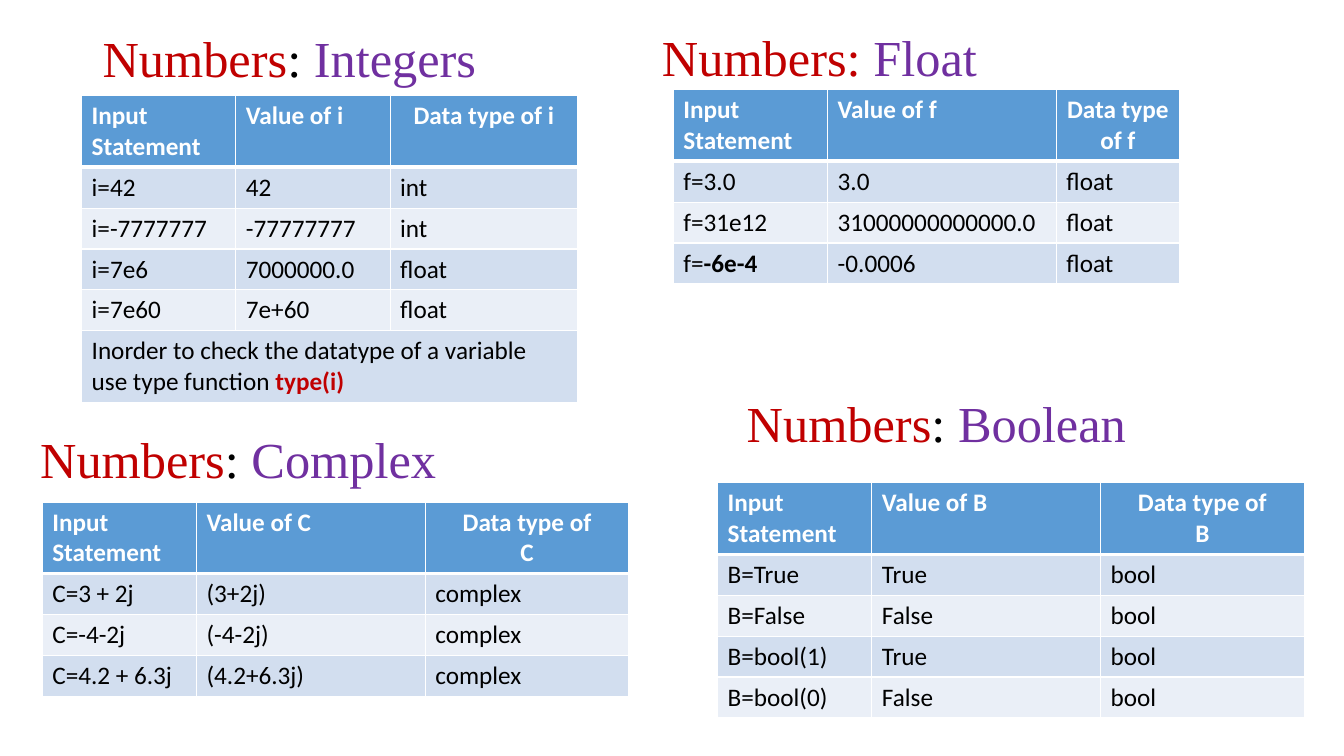
from lxml.etree import SubElement
from pptx import Presentation
from pptx.dml.color import RGBColor
from pptx.enum.text import MSO_ANCHOR, PP_ALIGN
from pptx.oxml.ns import qn
from pptx.util import Pt

COLORS = {"red": "C00000", "purple": "7030A0", "black": "000000", "white": "FFFFFF",
          "header": "5B9BD5", "odd": "D2DEEF", "even": "EAEFF7"}

# A text is a list of runs: (text, colour, bold).
COLON = (": ", "black", False)
NUMBERS = ("Numbers", "red", False)
TYPE_NOTE = [("Inorder to check the datatype of a variable use type function ", "black", False),
             ("type(i)", "red", True)]
SMALL_FLOAT = [("f=", "black", False), ("-6e-4", "black", True)]

# Boxes are left, top, width, height; tables are placed by left, top.
SECTIONS = [
    {"title": [NUMBERS, COLON, ("Integers", "purple", False)],
     "title_box": (66.2, 28.8, 347.8, 29.5),
     "table_at": (58.3, 68.4), "columns": (110.2, 110.2, 133.9),
     "rows": [("Input Statement", "Value of i", "Data type of i"),
              ("i=42", "42", "int"),
              ("i=-7777777", "-77777777", "int"),
              ("i=7e6", "7000000.0", "float"),
              ("i=7e60", "7e+60", "float"),
              (TYPE_NOTE,)]},
    {"title": [("Numbers: ", "red", False), ("Float", "purple", False)],
     "title_box": (465.8, 22.3, 256.3, 41),
     "table_at": (481, 64.1), "columns": (110.2, 163.4, 87.8),
     "rows": [("Input Statement", "Value of f", "Data type of f"),
              ("f=3.0", "3.0", "float"),
              ("f=31e12", "31000000000000.0", "float"),
              (SMALL_FLOAT, "-0.0006", "float")]},
    {"title": [NUMBERS, COLON, ("Complex", "purple", False)],
     "title_box": (21.6, 315.4, 347.8, 29.5),
     "table_at": (30.2, 358.6), "columns": (110.2, 163.4, 145.4),
     "rows": [("Input Statement", "Value of C", "Data type of\nC"),
              ("C=3 + 2j", "(3+2j)", "complex"),
              ("C=-4-2j", "(-4-2j)", "complex"),
              ("C=4.2 + 6.3j", "(4.2+6.3j)", "complex")]},
    {"title": [NUMBERS, COLON, ("Boolean", "purple", False)],
     "title_box": (526.3, 289.4, 347.8, 29.5),
     "table_at": (512.6, 344.9), "columns": (110.2, 163.4, 145.4),
     "rows": [("Input Statement", "Value of B", "Data type of\nB"),
              ("B=True", "True", "bool"),
              ("B=False", "False", "bool"),
              ("B=bool(1)", "True", "bool"),
              ("B=bool(0)", "False", "bool")]},
]
ONE_LINE, TWO_LINES = 29.2, 51.1


def write(tf, text, size=18, font="Calibri", color="black", bold=False,
          align=PP_ALIGN.LEFT, spacing=None):
    """Fill a frame with a plain string, one paragraph a line, or a list of runs."""
    if isinstance(text, str):
        paragraphs = [[(line, color, bold)] for line in text.split("\n")]
    else:
        paragraphs = [text]
    for i, runs in enumerate(paragraphs):
        p = tf.add_paragraph() if i else tf.paragraphs[0]
        p.alignment = align
        if spacing:
            p.line_spacing = spacing
        for run_text, run_color, run_bold in runs:
            r = p.add_run()
            r.text = run_text
            r.font.size = Pt(size)
            r.font.name = font
            r.font.bold = run_bold
            r.font.color.rgb = RGBColor.from_string(COLORS[run_color])


def set_borders(cell, bottom):
    tc_pr = cell._tc.get_or_add_tcPr()
    for side, width in (("L", 1), ("R", 1), ("T", 1), ("B", bottom)):
        ln = SubElement(tc_pr, qn(f"a:ln{side}"), w=str(Pt(width)))
        fill = SubElement(ln, qn("a:solidFill"))
        SubElement(fill, qn("a:srgbClr"), val=COLORS["white"])


def add_title(slide, text, box):
    sp = slide.shapes.add_textbox(*map(Pt, box))
    tf = sp.text_frame
    tf.word_wrap = True
    tf.vertical_anchor = MSO_ANCHOR.MIDDLE
    write(tf, text, size=36, font="Times New Roman", spacing=0.9)


def add_data_table(slide, rows, at, columns):
    """Add a table whose header and single-cell rows are two lines high."""
    heights = [TWO_LINES if i == 0 or len(row) == 1 else ONE_LINE
               for i, row in enumerate(rows)]
    box = (*at, sum(columns), sum(heights))
    table = slide.shapes.add_table(len(rows), len(columns), *map(Pt, box)).table
    for column, width in zip(table.columns, columns):
        column.width = Pt(width)
    for i, (row, height) in enumerate(zip(rows, heights)):
        table.rows[i].height = Pt(height)
        header = i == 0
        band = "header" if header else "odd" if i % 2 else "even"
        for j in range(len(columns)):
            cell = table.cell(i, j)
            set_borders(cell, bottom=3 if header else 1)
            cell.fill.solid()
            cell.fill.fore_color.rgb = RGBColor.from_string(COLORS[band])
        if len(row) == 1:
            table.cell(i, 0).merge(table.cell(i, len(columns) - 1))
        for j, text in enumerate(row):
            centred = header and j == len(columns) - 1
            write(table.cell(i, j).text_frame, text, bold=header,
                  color="white" if header else "black",
                  align=PP_ALIGN.CENTER if centred else PP_ALIGN.LEFT)


def main():
    prs = Presentation()
    prs.slide_width, prs.slide_height = Pt(960), Pt(540)
    slide = prs.slides.add_slide(prs.slide_layouts[6])
    for section in SECTIONS:
        add_title(slide, section["title"], section["title_box"])
        add_data_table(slide, section["rows"], section["table_at"], section["columns"])
    prs.save("out.pptx")


if __name__ == "__main__":
    main()
